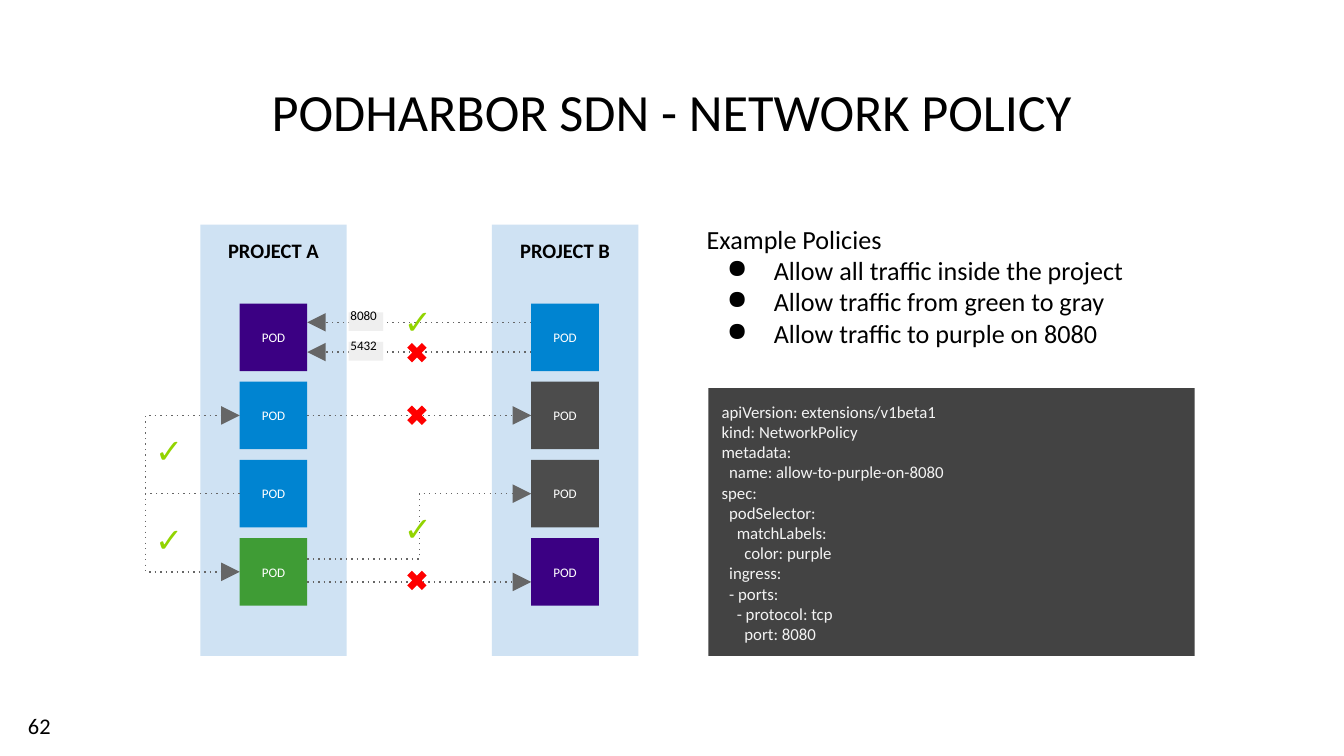
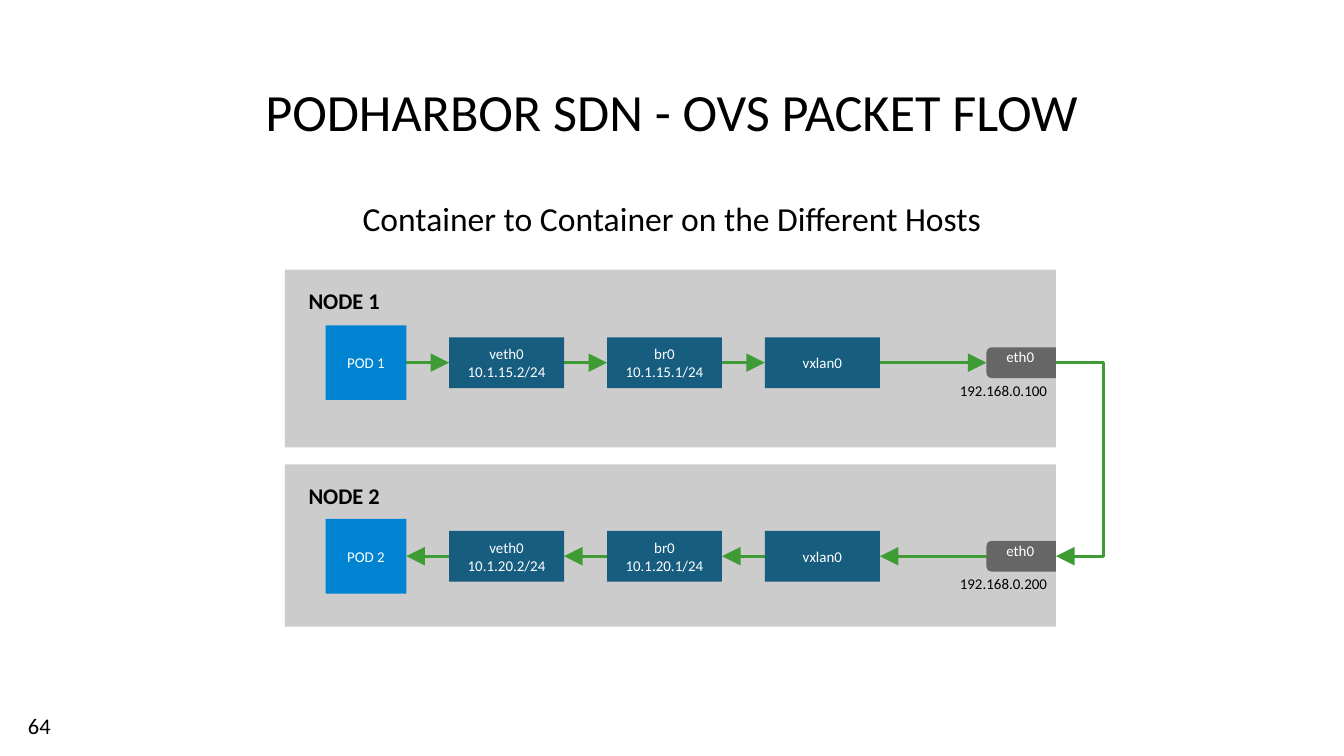
from dataclasses import dataclass

from lxml import etree
from pptx import Presentation
from pptx.dml.color import RGBColor
from pptx.enum.shapes import MSO_CONNECTOR, MSO_SHAPE
from pptx.enum.text import MSO_ANCHOR, PP_ALIGN
from pptx.oxml.ns import qn
from pptx.util import Pt

RECT = MSO_SHAPE.RECTANGLE
CROSS = MSO_SHAPE.MATH_MULTIPLY
ROUND_TOP = MSO_SHAPE.ROUND_2_SAME_RECTANGLE
STRAIGHT, ELBOW = MSO_CONNECTOR.STRAIGHT, MSO_CONNECTOR.ELBOW
TOP, MIDDLE, BOTTOM = MSO_ANCHOR.TOP, MSO_ANCHOR.MIDDLE, MSO_ANCHOR.BOTTOM
LEFT, CENTER, RIGHT = PP_ALIGN.LEFT, PP_ALIGN.CENTER, PP_ALIGN.RIGHT
LEFT_SIDE, RIGHT_SIDE = 1, 3


@dataclass(frozen=True)
class Theme:
    font: str = "Calibri"
    black: str = "000000"
    white: str = "FFFFFF"
    project: str = "CFE2F3"
    blue: str = "0084D1"
    green: str = "3F9C35"
    purple: str = "3B0083"
    gray: str = "4C4C4C"
    line: str = "666666"
    port: str = "EFEFEF"
    check: str = "92D400"
    cross: str = "FF0000"
    code_fill: str = "434343"
    code_text: str = "F3F3F3"
    node: str = "CCCCCC"
    device: str = "165D80"
    title_size: int = 28
    mark_size: int = 18
    subtitle_size: int = 18
    body_size: int = 14
    heading_size: int = 12
    project_size: int = 11
    code_size: int = 9
    device_size: int = 8
    pod_size: int = 7


T = Theme()


def write(tf, lines, size, color=T.black, bold=False, align=LEFT, anchor=TOP,
          spacing=None, bullets_from=None, inset=7.2):
    tf.word_wrap = True
    tf.vertical_anchor = anchor
    tf.margin_left = Pt(inset)
    tf.margin_right = tf.margin_top = tf.margin_bottom = Pt(7.2)
    for i, line in enumerate(lines):
        p = tf.paragraphs[0] if i == 0 else tf.add_paragraph()
        p.text = line
        p.alignment = align
        if spacing:
            p.line_spacing = spacing
        if bullets_from is not None and i >= bullets_from:
            pPr = p._p.get_or_add_pPr()
            pPr.set("marL", str(Pt(36)))
            pPr.set("indent", str(-Pt(25.2)))
            etree.SubElement(pPr, qn("a:buChar"), char="●")
        for r in p.runs:
            r.font.name = T.font
            r.font.size = Pt(size)
            r.font.bold = bold
            r.font.color.rgb = RGBColor.from_string(color)


class Deck:
    def __init__(self, theme):
        self.theme = theme
        self.prs = Presentation()
        self.prs.slide_width = Pt(720)
        self.prs.slide_height = Pt(405)
        self.s = None

    def slide(self, title, number):
        self.s = self.prs.slides.add_slide(self.prs.slide_layouts[6])
        self.text(64.8, 0, 589.7, 83.5, [title], size=self.theme.title_size,
                  align=CENTER, anchor=BOTTOM)
        self.text(7.9, 373, 33.1, 31, [str(number)],
                  size=self.theme.heading_size, anchor=MIDDLE)

    def text(self, x, y, w, h, lines, **fmt):
        sp = self.s.shapes.add_textbox(Pt(x), Pt(y), Pt(w), Pt(h))
        write(sp.text_frame, lines, **fmt)

    def box(self, x, y, w, h, fill, lines=(), kind=RECT, adjust=(), turn=0, **fmt):
        sp = self.s.shapes.add_shape(kind, Pt(x), Pt(y), Pt(w), Pt(h))
        sp.shadow.inherit = False
        sp.fill.solid()
        sp.fill.fore_color.rgb = RGBColor.from_string(fill)
        sp.line.fill.background()
        sp.rotation = turn
        for i, value in enumerate(adjust):
            sp.adjustments[i] = value
        if lines:
            write(sp.text_frame, lines, **fmt)
        return sp

    def arrow(self, x1, y1, x2, y2, color, width, dotted=False, bend=None):
        if bend is not None and x1 == x2:
            x2 += 0.05
        c = self.s.shapes.add_connector(STRAIGHT if bend is None else ELBOW,
                                        Pt(x1), Pt(y1), Pt(x2), Pt(y2))
        c.line.color.rgb = RGBColor.from_string(color)
        c.line.width = Pt(width)
        spPr = c._element.spPr
        ln = spPr.find(qn("a:ln"))
        if dotted:
            etree.SubElement(ln, qn("a:prstDash"), val="dot")
        etree.SubElement(ln, qn("a:tailEnd"), type="triangle", w="lg", len="lg")
        etree.SubElement(spPr, qn("a:effectLst"))
        if bend is not None:
            ratio = round((bend - x1) / (x2 - x1) * 100000)
            guides = spPr.find(qn("a:prstGeom")).get_or_add_avLst()
            etree.SubElement(guides, qn("a:gd"), name="adj1", fmla=f"val {ratio}")
        return c

    def join(self, start, start_side, end, end_side, color, width, dotted=False):
        c = self.arrow(0, 0, 0, 0, color, width, dotted)
        c.begin_connect(start, start_side)
        c.end_connect(end, end_side)

    def check(self, x, y):
        self.text(x, y, 36, 36, ["✓"], size=self.theme.mark_size,
                  color=self.theme.check, bold=True, align=CENTER)

    def cross(self, x, y):
        self.box(x, y, 15.1, 15.1, self.theme.cross, kind=CROSS, adjust=[0.235])

    def save(self):
        self.prs.save("out.pptx")


def network_policy(d):
    d.slide("PODHARBOR SDN - NETWORK POLICY", 62)
    pod, top, pitch = 36.2, 162.6, 41.9
    projects = (
        ("PROJECT A", 107.3, (T.purple, T.blue, T.blue, T.green)),
        ("PROJECT B", 263.5, (T.blue, T.gray, T.gray, T.purple)),
    )
    columns = []
    for name, x, colors in projects:
        d.box(x, 120.3, 78.5, 231.1, T.project, [name], size=T.project_size,
              bold=True, align=CENTER)
        columns.append([
            d.box(x + 21.1, top + i * pitch, pod, pod, color, ["POD"],
                  size=T.pod_size, color=T.white, align=CENTER, anchor=MIDDLE)
            for i, color in enumerate(colors)])
    a, b = columns
    a_left, a_right, b_left = 128.4, 164.6, 284.6
    middle = [top + i * pitch + pod / 2 for i in range(4)]
    dotted = dict(color=T.line, width=0.75, dotted=True)

    for end in (1, 3):
        d.arrow(a_left, middle[2], a_left, middle[end], bend=90.9 - 7.2 + 0.2, **dotted)
    d.arrow(a_right, 299.5, b_left, middle[2], bend=224.6, **dotted)
    d.join(a[1], RIGHT_SIDE, b[1], LEFT_SIDE, **dotted)
    d.arrow(a_right, 311.8, b_left, 311.8, **dotted)
    for port, y in (("8080", 172.7), ("5432", 188.6)):
        d.arrow(b_left, y, a_right, y, **dotted)
        d.box(186.8, y - 5.4, 18.5, 10, T.port)
        d.text(180.7, y - 12.2, 41, 22.3, [port], size=T.pod_size)

    for x, y in ((72.7, 223.2), (72.7, 270.7), (205.9, 265), (205.9, 154.1)):
        d.check(x, y)
    for y in (181.4, 214.9, 303.4):
        d.cross(215.8, y)

    d.text(371.5, 112.3, 278.6, 92.2, [
        "Example Policies",
        "Allow all traffic inside the project",
        "Allow traffic from green to gray",
        "Allow traffic to purple on 8080",
    ], size=T.body_size, bullets_from=1)
    d.box(379.5, 207.9, 260.5, 143.5, T.code_fill, [
        "apiVersion: extensions/v1beta1",
        "kind: NetworkPolicy",
        "metadata:",
        "  name: allow-to-purple-on-8080",
        "spec:",
        "  podSelector:",
        "    matchLabels:",
        "      color: purple",
        "  ingress:",
        "  - ports:",
        "    - protocol: tcp",
        "      port: 8080",
    ], size=T.code_size, color=T.code_text)


def packet_flow(d):
    d.slide("PODHARBOR SDN - OVS PACKET FLOW", 64)
    d.text(162, 98.6, 396, 43.9, ["Container to Container on the Different Hosts"],
           size=T.subtitle_size, align=CENTER)
    node_left, node_width = 152.7, 413
    node_right = node_left + node_width
    eth_width, eth_height = 37.2, 16.4
    eth_left = node_right - eth_width
    nodes = (
        (1, 144.5, 95.2, 194.3, "10.1.15", "192.168.0.100"),
        (2, 248.8, 87, 298, "10.1.20", "192.168.0.200"),
    )
    green = dict(color=T.green, width=1.5)
    label = dict(size=T.device_size, color=T.white, align=CENTER, anchor=MIDDLE)
    for n, y, h, mid, subnet, address in nodes:
        d.box(node_left, y, node_width, h, T.node, [f"NODE {n}"],
              size=T.heading_size, bold=True, spacing=1.15, inset=12.6)
        chain = [d.box(174.5, mid - 20, 43.2, 40, T.blue, [f"POD {n}"], **label)]
        devices = (f"veth0\n{subnet}.2/24", f"br0\n{subnet}.1/24", "vxlan0")
        for i, device in enumerate(devices):
            chain.append(d.box(240.6 + 84.6 * i, mid - 13.6, 61.6, 27.2,
                               T.device, [device], **label))
        d.box(eth_left + (eth_width - eth_height) / 2, mid - eth_width / 2,
              eth_height, eth_width, T.line, kind=ROUND_TOP,
              adjust=[0.167, 0], turn=270)
        d.text(532, mid - 12.8, 37.4, 16.6, ["eth0"],
               size=T.device_size, color=T.white)
        d.text(499, mid + 5.1, 69.1, 20.2, [address],
               size=T.device_size, align=RIGHT)
        for near, far in zip(chain, chain[1:]):
            if n == 1:
                d.join(near, RIGHT_SIDE, far, LEFT_SIDE, **green)
            else:
                d.join(far, LEFT_SIDE, near, RIGHT_SIDE, **green)
        uplink = d.arrow(eth_left, mid, eth_left, mid, **green)
        if n == 1:
            uplink.begin_connect(chain[-1], RIGHT_SIDE)
        else:
            uplink.end_connect(chain[-1], RIGHT_SIDE)
    d.arrow(node_right, nodes[0][3], node_right, nodes[1][3], bend=588.3, **green)


def main():
    d = Deck(T)
    network_policy(d)
    packet_flow(d)
    d.save()


if __name__ == "__main__":
    main()
